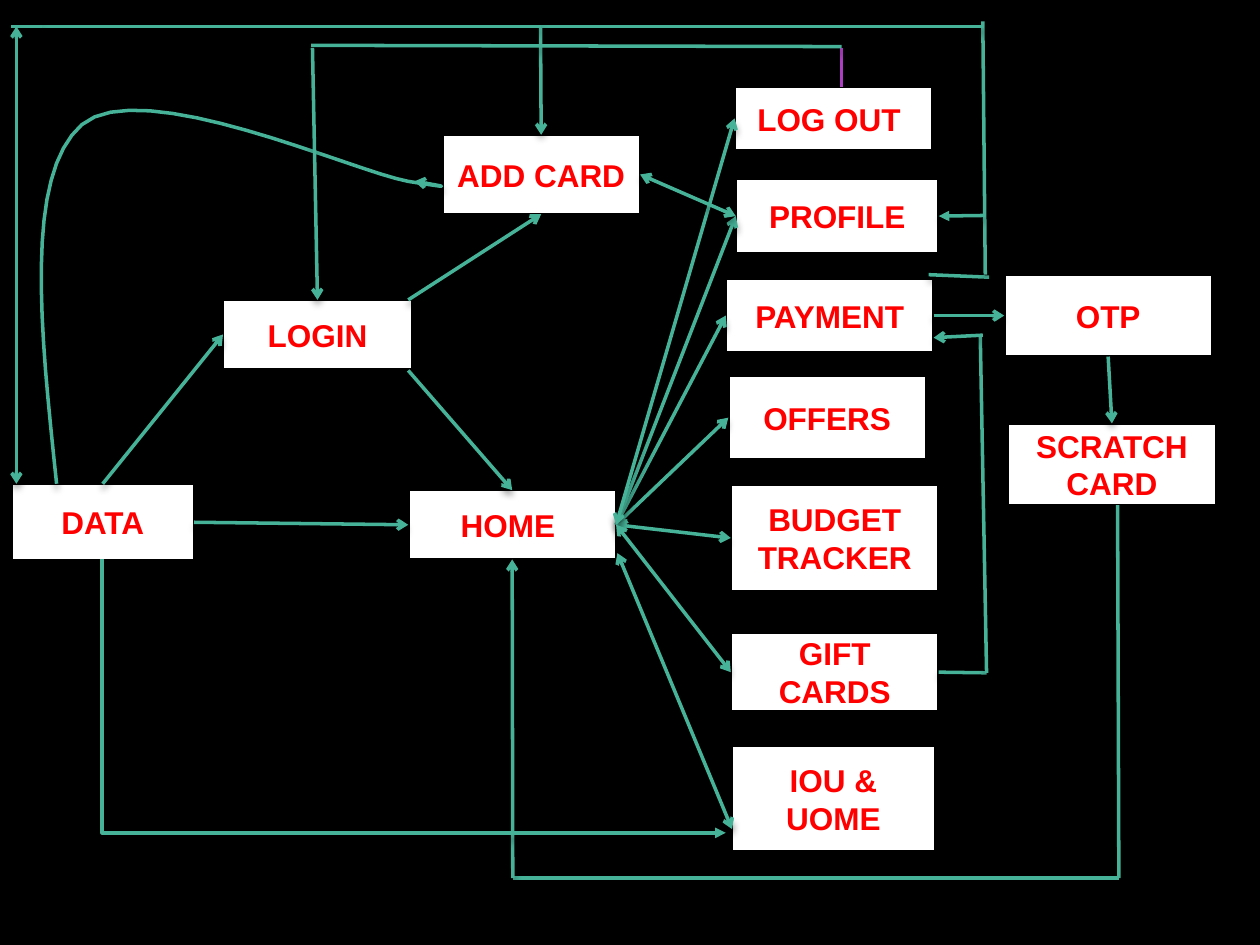
from lxml import etree
from pptx import Presentation
from pptx.dml.color import RGBColor
from pptx.enum.shapes import MSO_CONNECTOR, MSO_SHAPE
from pptx.enum.text import MSO_ANCHOR, PP_ALIGN
from pptx.oxml.ns import qn
from pptx.util import Inches, Pt

STRAIGHT, ELBOW = MSO_CONNECTOR.STRAIGHT, MSO_CONNECTOR.ELBOW
RECT, MIDDLE, CENTER = MSO_SHAPE.RECTANGLE, MSO_ANCHOR.MIDDLE, PP_ALIGN.CENTER
TOP, LEFT, BOTTOM, RIGHT = range(4)
COLORS = {"back": "000000", "box": "FFFFFF", "text": "FF0000",
          "link": "46B298", "exit": "AC3EC1", "shade": "000000"}
FONT = {"name": "Arial", "size": Pt(18), "bold": True}

NODES = {
    "LOGIN": (1.77, 2.38, 1.5, 0.55),
    "ADD CARD ": (3.51, 1.07, 1.57, 0.63),
    "DATA": (0.09, 3.84, 1.45, 0.61),
    "HOME ": (3.24, 3.89, 1.65, 0.55),
    "BUDGET\nTRACKER": (5.8, 3.85, 1.65, 0.84),
    "OFFERS": (5.78, 2.98, 1.57, 0.67),
    "GIFT CARDS": (5.8, 5.02, 1.65, 0.63),
    "IOU & UOME": (5.81, 5.92, 1.61, 0.84),
    "PAYMENT": (5.76, 2.21, 1.65, 0.59),
    "OTP": (7.97, 2.18, 1.65, 0.65),
    "PROFILE": (5.84, 1.42, 1.61, 0.59),
    "SCRATCH CARD": (8, 3.36, 1.65, 0.65),
    "LOG OUT ": (5.83, 0.69, 1.57, 0.5),
}
ONE, BOTH = {"tail": "arrow"}, {"head": "arrow", "tail": "arrow"}
HUB = ("HOME ", RIGHT)
LINKS = [
    (HUB, ("OFFERS", LEFT), BOTH),
    (HUB, ("PAYMENT", LEFT), ONE),
    (HUB, ("BUDGET\nTRACKER", LEFT), BOTH),
    (HUB, ("PROFILE", LEFT), ONE),
    (HUB, ("LOG OUT ", LEFT), BOTH),
    (HUB, ("GIFT CARDS", LEFT), BOTH),
    ((4.9, 4.39), (5.81, 6.58), BOTH),
    (("PAYMENT", RIGHT), ("OTP", LEFT), ONE),
    (("GIFT CARDS", RIGHT), (7.83, 5.34), {}),
    ((7.83, 5.34), (7.78, 2.67), {}),
    ((7.8, 2.66), (7.41, 2.68), ONE),
    ((7.37, 2.18), (7.85, 2.2), {}),
    ((7.82, 2.18), (7.8, 0.17), {}),
    ((7.81, 0.21), (4.28, 0.21), {}),
    ((4.29, 0.21), ("ADD CARD ", TOP), ONE),
    (("ADD CARD ", RIGHT), ("PROFILE", LEFT), BOTH),
    (("DATA", TOP), ("LOGIN", LEFT), ONE),
    (("DATA", RIGHT), ("HOME ", LEFT), ONE),
    ((3.24, 2.38), ("ADD CARD ", BOTTOM), ONE),
    ((3.24, 2.94), ("HOME ", TOP), ONE),
    ((8.87, 4.01), (8.88, 6.97), {}),
    ((8.88, 6.97), (4.07, 6.97), {}),
    ((4.07, 6.97), ("HOME ", BOTTOM), ONE),
    (("OTP", BOTTOM), ("SCRATCH CARD", TOP), ONE),
    ((6.68, 0.69), (6.68, 0.38), {"color": "exit", "width": 1.5, "shade": False}),
    ((6.68, 0.37), (2.47, 0.36), {}),
    ((2.48, 0.38), ("LOGIN", TOP), ONE),
    ((4.29, 0.21), (0.33, 0.21), {}),
    ((0.09, 0.21), (0.33, 0.21), {}),
    ((0.13, 0.21), (0.13, 3.84), BOTH),
    ((7.82, 1.71), ("PROFILE", RIGHT), {"tail": "triangle"}),
]
START = (0.45, 3.84)
CURVES = [((0.32, 2.62), (0.19, 1.39), (0.65, 0.99)),
          ((1.12, 0.59), (2.8, 1.36), (3.24, 1.44)),
          ((3.68, 1.51), (3.48, 1.47), (3.29, 1.44))]


def tint(name):
    """Return the named colour."""
    return RGBColor.from_string(COLORS[name])


def style(shape, color="link", width=2, head=None, tail=None, shade=True):
    """Give a line its colour, width, arrowheads and soft shadow."""
    line = shape.line
    line.color.rgb, line.width = tint(color), Pt(width)
    props = shape._element.spPr
    for tag, kind in (("a:headEnd", head), ("a:tailEnd", tail)):
        if kind:
            etree.SubElement(props.find(qn("a:ln")), qn(tag), type=kind)
    effect = etree.SubElement(props, qn("a:effectLst"))
    if shade:
        drop = etree.SubElement(effect, qn("a:outerShdw"), blurRad=str(Pt(4)),
                                dist=str(Pt(3)), dir="5400000", rotWithShape="0")
        fill = etree.SubElement(drop, qn("a:srgbClr"), val=COLORS["shade"])
        etree.SubElement(fill, qn("a:alpha"), val="35000")


def add_node(slide, text, box):
    """Draw one labelled step in the given box."""
    node = slide.shapes.add_shape(RECT, *map(Inches, box))
    node.shadow.inherit = False
    node.fill.solid()
    node.fill.fore_color.rgb = tint("box")
    node.line.color.rgb, node.line.width = tint("back"), Pt(1.5)
    frame = node.text_frame
    frame.text, frame.word_wrap, frame.vertical_anchor = text, True, MIDDLE
    for para in frame.paragraphs:
        para.alignment = CENTER
        font = para.runs[0].font
        for key, value in FONT.items():
            setattr(font, key, value)
        font.color.rgb = tint("text")
    return node


def add_link(slide, nodes, start, end, look):
    """Draw a straight link between two points or node sides."""
    ends = [(0, 0) if p[0] in nodes else p for p in (start, end)]
    link = slide.shapes.add_connector(STRAIGHT, *map(Inches, ends[0] + ends[1]))
    for point, join in ((start, link.begin_connect), (end, link.end_connect)):
        if point[0] in nodes:
            join(nodes[point[0]], point[1])
    style(link, **look)


def add_curve(slide, start, curves, steps=16):
    """Draw an open smooth path through cubic curves."""
    points, last = [], start
    for one, two, end in curves:
        for step in range(1, steps + 1):
            t = step / steps
            u = 1 - t
            points.append(tuple(
                Inches(u**3 * a + 3 * u * u * t * b + 3 * u * t * t * c + t**3 * d)
                for a, b, c, d in zip(last, one, two, end)))
        last = end
    pen = slide.shapes.build_freeform(*map(Inches, start))
    pen.add_line_segments(points, close=False)
    curve = pen.convert_to_shape()
    curve.fill.background()
    style(curve, tail="arrow")


def add_elbow(slide, left, top, right, base):
    """Draw a link that runs down the left and then along the base."""
    midx, midy = (left + right) / 2, (top + base) / 2
    halfw, halfh = (base - top) / 2, (right - left) / 2
    elbow = slide.shapes.add_connector(
        ELBOW, *map(Inches, (midx + halfw, midy - halfh, midx - halfw, midy + halfh)))
    props = elbow._element.spPr
    props.find(qn("a:xfrm")).set("rot", "16200000")
    props.find(qn("a:prstGeom")).set("prst", "bentConnector2")
    style(elbow, tail="triangle")


def main():
    """Build and save the flow slide."""
    deck = Presentation()
    deck.slide_width, deck.slide_height = Inches(10), Inches(7.5)
    slide = deck.slides.add_slide(deck.slide_layouts[6])
    slide.background.fill.solid()
    slide.background.fill.fore_color.rgb = tint("back")
    nodes = {text: add_node(slide, text, box) for text, box in NODES.items()}
    add_curve(slide, START, CURVES)
    for start, end, look in LINKS:
        add_link(slide, nodes, start, end, look)
    add_elbow(slide, 0.81, 4.44, 5.76, 6.61)
    deck.save("out.pptx")


if __name__ == "__main__":
    main()
